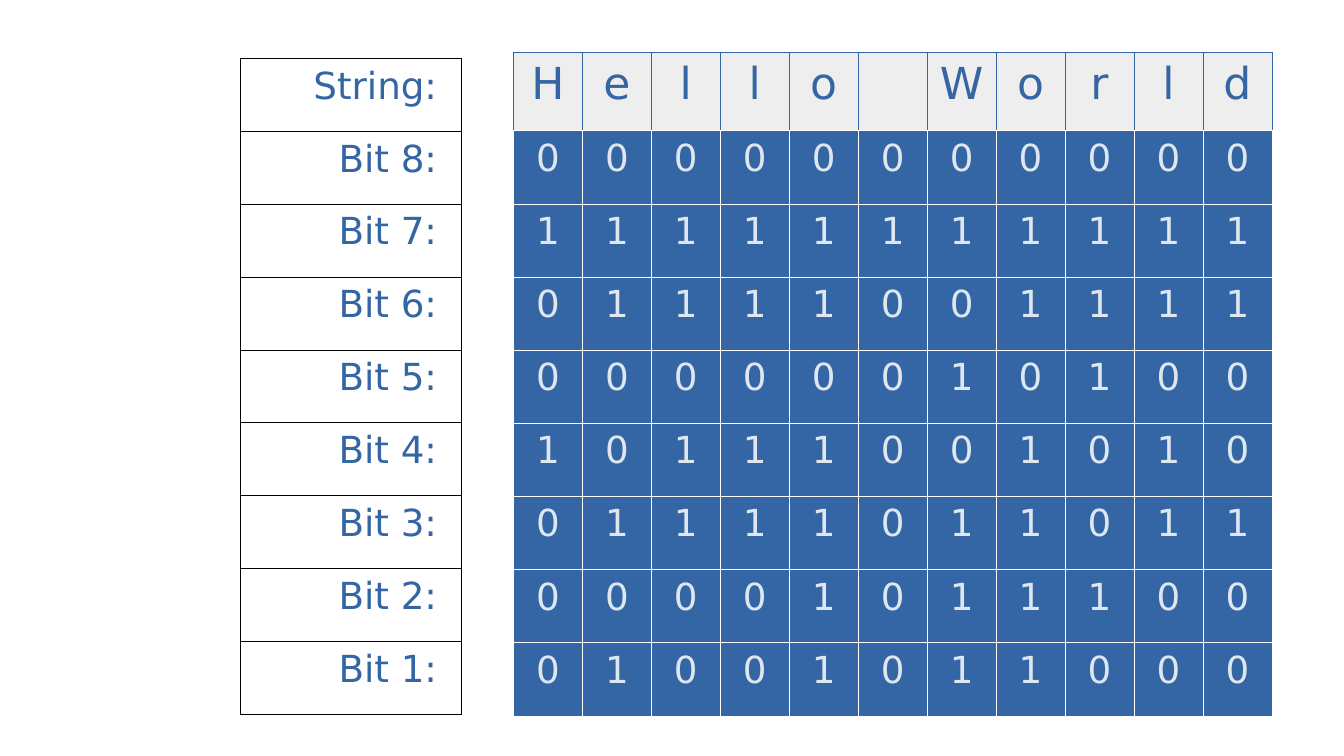
from dataclasses import dataclass

from lxml import etree
from pptx import Presentation
from pptx.dml.color import RGBColor
from pptx.enum.text import PP_ALIGN
from pptx.oxml.ns import qn
from pptx.util import Inches, Pt

CENTER = PP_ALIGN.CENTER
RIGHT = PP_ALIGN.RIGHT
BLANK_LAYOUT = 6

STRING = "Hello World"
BIT_ROWS = [
    "00000000000",
    "11111111111",
    "01111001111",
    "00000010100",
    "10111001010",
    "01111011011",
    "00001011100",
    "01001011000",
]
LABELS = ["String: "] + [f"Bit {bit}: " for bit in range(8, 0, -1)]


@dataclass(frozen=True)
class Theme:
    font: str = "DejaVu Sans"
    blue: str = "3465A4"
    pale_blue: str = "DEE6EF"
    gray: str = "EEEEEE"
    white: str = "FFFFFF"
    black: str = "000000"
    letter_size: int = 26
    text_size: int = 22
    hairline: float = 0.06
    thin_line: float = 0.57


@dataclass(frozen=True)
class CellStyle:
    color: str
    size: int
    align: PP_ALIGN
    border: str
    border_width: float
    fill: str = ""
    sides: str = "LRTB"


class SlideBuilder:
    def __init__(self, page, theme):
        self.page = page
        self.theme = theme

    def table(self, left, top, width, row_heights, rows, styles):
        """Add a table with equal columns and one cell style per row."""
        column_count = len(rows[0])
        frame = self.page.shapes.add_table(
            len(rows), column_count, Inches(left), Inches(top),
            Inches(width), Inches(sum(row_heights)))
        table = frame.table
        table.first_row = False
        table.horz_banding = False
        for column in table.columns:
            column.width = Inches(width / column_count)
        for row, height, texts, style in zip(table.rows, row_heights, rows, styles):
            row.height = Inches(height)
            for cell, text in zip(row.cells, texts):
                self.cell(cell, text, style)

    def cell(self, cell, text, style):
        cell.margin_left = cell.margin_right = Inches(0.1)
        cell.margin_top = cell.margin_bottom = Inches(0.05)
        self.borders(cell, style)
        if style.fill:
            cell.fill.solid()
            cell.fill.fore_color.rgb = RGBColor.from_string(style.fill)
        else:
            cell.fill.background()
        if text == " ":
            return
        para = cell.text_frame.paragraphs[0]
        para.alignment = style.align
        span = para.add_run()
        span.text = text
        span.font.name = self.theme.font
        span.font.size = Pt(style.size)
        span.font.color.rgb = RGBColor.from_string(style.color)

    def borders(self, cell, style):
        """Draw the cell's lines; call before the fill, which must follow them."""
        properties = cell._tc.get_or_add_tcPr()
        for side in style.sides:
            line = etree.SubElement(properties, qn(f"a:ln{side}"),
                                    w=str(Pt(style.border_width)))
            solid = etree.SubElement(line, qn("a:solidFill"))
            etree.SubElement(solid, qn("a:srgbClr"), val=style.border)


def main():
    deck = Presentation()
    deck.slide_width = Inches(11.02)
    deck.slide_height = Inches(6.2)
    page = deck.slides.add_slide(deck.slide_layouts[BLANK_LAYOUT])
    theme = Theme()
    builder = SlideBuilder(page, theme)

    letter = CellStyle(theme.blue, theme.letter_size, CENTER,
                       theme.blue, theme.hairline, theme.gray)
    first_bit = CellStyle(theme.pale_blue, theme.text_size, CENTER,
                          theme.white, theme.hairline, theme.blue, "LRB")
    bit = CellStyle(theme.pale_blue, theme.text_size, CENTER,
                    theme.white, theme.hairline, theme.blue)
    label = CellStyle(theme.blue, theme.text_size, RIGHT,
                      theme.black, theme.thin_line)

    bit_count = len(BIT_ROWS)
    builder.table(4.21, 0.43, 6.22, [0.64] + [0.6] * bit_count,
                  [STRING] + BIT_ROWS,
                  [letter, first_bit] + [bit] * (bit_count - 1))

    label_count = len(LABELS)
    builder.table(1.97, 0.48, 1.81, [5.38 / label_count] * label_count,
                  [[text] for text in LABELS], [label] * label_count)

    deck.save("out.pptx")


if __name__ == "__main__":
    main()
